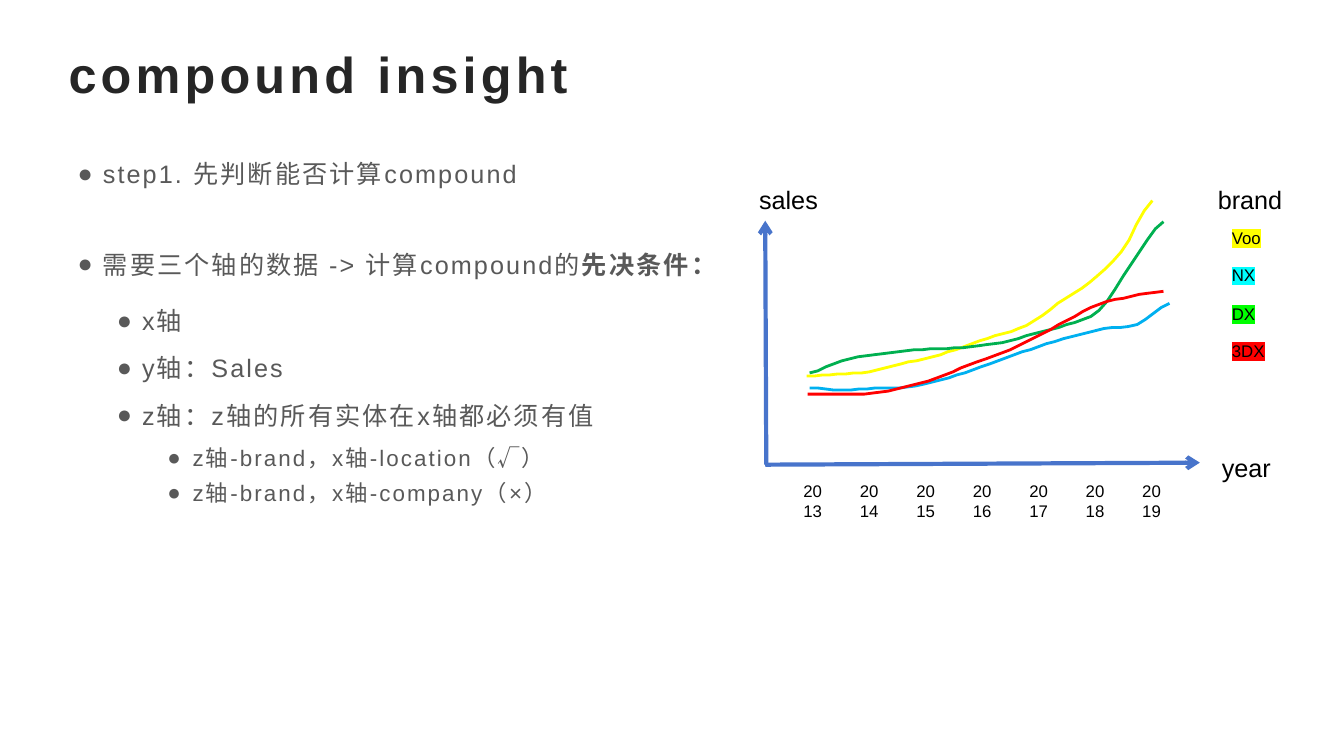
from lxml.etree import SubElement
from pptx import Presentation
from pptx.dml.color import RGBColor
from pptx.enum.shapes import MSO_CONNECTOR
from pptx.enum.text import MSO_ANCHOR, MSO_AUTO_SIZE, PP_ALIGN
from pptx.oxml import parse_xml
from pptx.oxml.ns import nsdecls, qn
from pptx.util import Pt

PX = 9144  # one px is 1/100 inch

# Content
TITLE = "compound insight"
GREY, BLACK, AXIS_BLUE = "595959", "000000", "4874CB"

# Paragraph: (runs as (text, bold), level)
STEP = [([("step1. 先判断能否计算compound", False)], 0)]
NEED = [([("需要三个轴的数据 -> 计算compound的", False), ("先决条件：", True)], 0)]
AXES = [
    ([("x轴", False)], 0),
    ([("y轴：Sales", False)], 0),
    ([("z轴：z轴的所有实体在x轴都必须有值", False)], 0),
    ([("z轴-brand，x轴-location（√）", False)], 1),
    ([("z轴-brand，x轴-company（×）", False)], 1),
]
# Placeholder index, box, line spacing, paragraphs
LISTS = [
    (1, (67, 143, 1200, 104), 1.3, STEP),
    (3, (67, 233, 1200, 128), 1.3, NEED),
    (2, (106, 295, 536, 234), 1.1, AXES),
]
AXIS_LINES = [(759, 461, 1190, 459), (760, 461, 759, 219)]
AXIS_LABELS = [("year", 1202, 444), ("brand", 1198, 178), ("sales", 743, 178)]
YEARS = range(2013, 2020)
BRANDS = [("Voo", "FFFF00"), ("NX", "00FFFF"), ("DX", "00FF00"), ("3DX", "FF0000")]

# Colour, first x, last x, heights at equal steps
CURVES = [
    ("FFFF00", 800, 1143, [373, 371, 369, 361, 354, 344, 333, 323, 301, 280, 250, 199]),
    ("00B050", 803, 1154, [370, 358, 352, 348, 346, 344, 340, 331, 322, 308, 262, 220]),
    ("00B0F0", 803, 1160, [385, 387, 385, 384, 377, 367, 355, 344, 334, 326, 322, 301]),
    ("FF0000", 801, 1154, [391, 391, 390, 384, 375, 362, 350, 335, 318, 302, 294, 289]),
]
SUBSTEPS = 4


def rgb(value):
    return RGBColor.from_string(value)


def add_run(p, text, size=18, color=BLACK, bold=False, spacing=0, highlight=None):
    r = p.add_run()
    r.text = text
    r.font.size, r.font.name, r.font.bold = Pt(size), "Arial", bold
    r.font.color.rgb = rgb(color)
    rPr = r.font._element
    if spacing:
        rPr.set("spc", str(int(spacing * 100)))
    if highlight:
        rPr.find(qn("a:solidFill")).addnext(parse_xml(
            f'<a:highlight {nsdecls("a")}><a:srgbClr val="{highlight}"/></a:highlight>'))


def place(sp, box, anchor=MSO_ANCHOR.TOP):
    sp.left, sp.top, sp.width, sp.height = [v * PX for v in box]
    tf = sp.text_frame
    tf.word_wrap, tf.auto_size = True, MSO_AUTO_SIZE.NONE
    tf.margin_left = tf.margin_right = 10 * PX
    tf.margin_top = tf.margin_bottom = 5 * PX
    tf.vertical_anchor = anchor
    return tf


def add_label(text, box, **fmt):
    sp = slide.shapes.add_textbox(0, 0, 0, 0)
    add_run(place(sp, box).paragraphs[0], text, **fmt)


def set_bullet(p, left):
    pPr = p._p.get_or_add_pPr()
    pPr.set("marL", str(left * PX))
    pPr.set("indent", str(-25 * PX))
    SubElement(pPr, qn("a:buFont")).set("typeface", "Arial")
    SubElement(pPr, qn("a:buChar")).set("char", "●")


def smooth_points(x0, x1, heights):
    """Points of a Catmull-Rom spline through equally spaced heights."""
    steps = (len(heights) - 1) * SUBSTEPS
    padded = [heights[0], *heights, heights[-1]]
    points = []
    for n in range(steps):
        i, t = n // SUBSTEPS, n % SUBSTEPS / SUBSTEPS
        a, b, c, d = padded[i:i + 4]
        y = b + t / 2 * (c - a + t * (2 * a - 5 * b + 4 * c - d + t * (3 * (b - c) + d - a)))
        points.append((x0 + (x1 - x0) * n / steps, y))
    return points + [(x1, heights[-1])]


prs = Presentation()
prs.slide_width, prs.slide_height = 1333 * PX, 750 * PX
slide = prs.slides.add_slide(prs.slide_layouts[4])
holders = {ph.placeholder_format.idx: ph for ph in slide.placeholders}

# Title
p = place(holders[0], (58, 34, 1200, 77), MSO_ANCHOR.MIDDLE).paragraphs[0]
p.alignment = PP_ALIGN.LEFT
add_run(p, TITLE, size=36, color="262626", bold=True, spacing=3)

# Bulleted lists
for idx, box, line_spacing, paragraphs in LISTS:
    tf = place(holders[idx], box)
    for i, (runs, level) in enumerate(paragraphs):
        p = tf.add_paragraph() if i else tf.paragraphs[0]
        p.level = level
        p.line_spacing = 1.0 if level else line_spacing
        p.space_before, p.space_after = Pt(0), Pt(6 if level else 10)
        set_bullet(p, 75 if level else 25)
        for text, bold in runs:
            add_run(p, text, size=16 if level else 18, color=GREY, bold=bold, spacing=1.5)
unused = holders[4]._element
unused.getparent().remove(unused)

# Axes with arrowheads
for ends in AXIS_LINES:
    axis = slide.shapes.add_connector(MSO_CONNECTOR.STRAIGHT, *[v * PX for v in ends])
    axis.line.color.rgb, axis.line.width = rgb(AXIS_BLUE), Pt(3)
    SubElement(axis.line._get_or_add_ln(), qn("a:tailEnd")).set("type", "arrow")
    SubElement(axis._element.spPr, qn("a:effectLst"))

# Axis, year and brand labels
for text, x, y in AXIS_LABELS:
    add_label(text, (x, y, 89, 40))
for i, year in enumerate(YEARS):
    add_label(str(year), (787 + 56 * i, 472, 45, 50), size=12)
for i, (brand, color) in enumerate(BRANDS):
    add_label(brand, (1212, 221 + round(37.4 * i), 56, 31), size=12, highlight=color)

# Sales curves
for color, x0, x1, heights in CURVES:
    points = smooth_points(x0, x1, heights)
    builder = slide.shapes.build_freeform(*points[0], scale=PX)
    builder.add_line_segments(points[1:], close=False)
    curve = builder.convert_to_shape()
    curve.shadow.inherit = False
    curve.fill.background()
    curve.line.color.rgb, curve.line.width = rgb(color), Pt(2)

prs.save("out.pptx")
